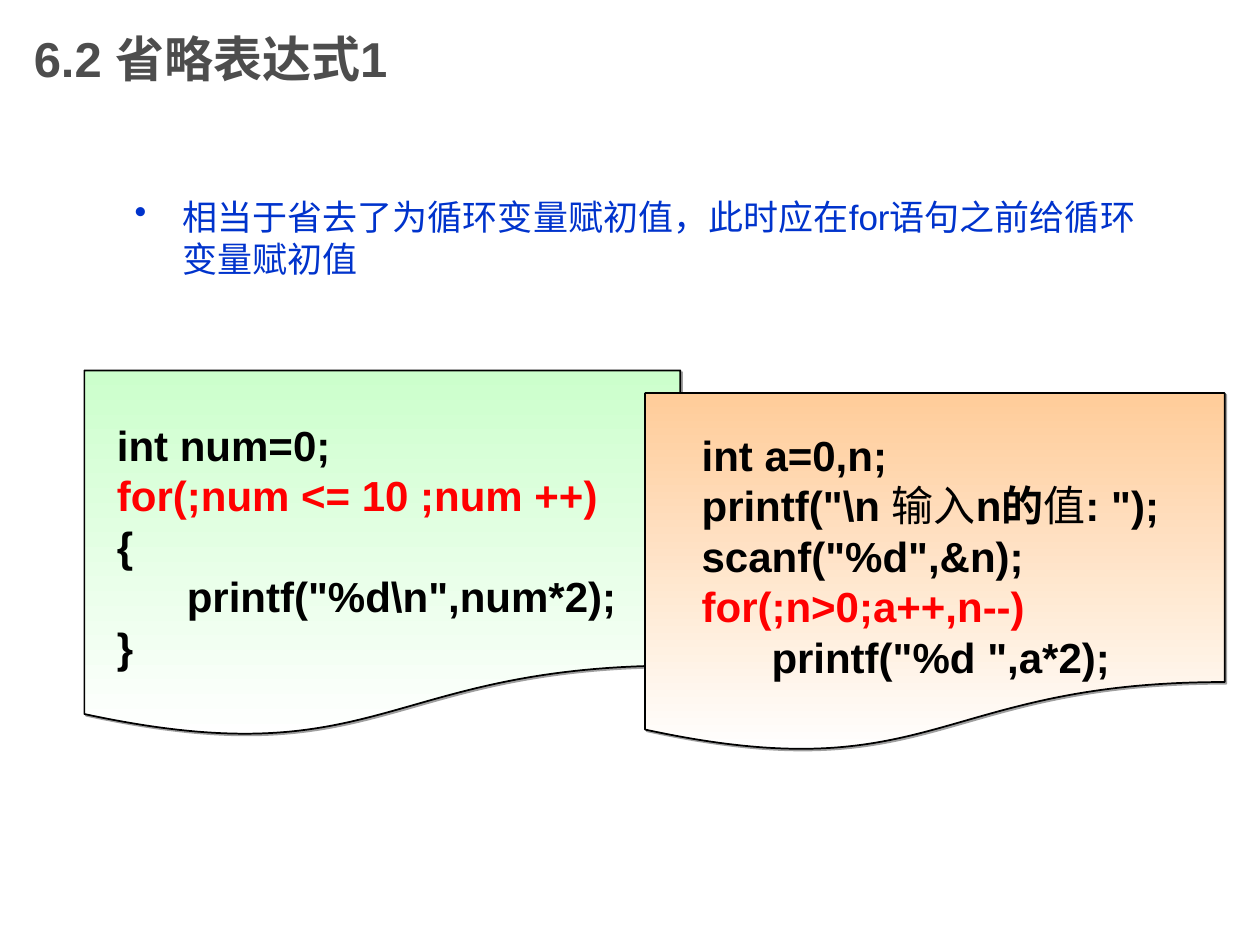
from lxml.etree import SubElement
from pptx import Presentation
from pptx.dml.color import RGBColor
from pptx.enum.shapes import MSO_SHAPE
from pptx.enum.text import MSO_ANCHOR, MSO_AUTO_SIZE
from pptx.oxml.ns import qn
from pptx.util import Inches, Pt

WHITE = RGBColor(0xFF, 0xFF, 0xFF)
BLACK = RGBColor(0, 0, 0)
RED = RGBColor(0xFF, 0, 0)
GRAY = RGBColor(0x4D, 0x4D, 0x4D)
BLUE = RGBColor(0, 0x33, 0xCC)
GREEN = RGBColor(0xCC, 0xFF, 0xCC)
ORANGE = RGBColor(0xFF, 0xCC, 0x99)
SHADOW = RGBColor(0x80, 0x80, 0x80)

FONT = "Arial"
COLS, ROWS = 100, 75
WIDTH, HEIGHT = Inches(10), Inches(7.5)

NUM_CODE = [
    ["int num=0;"],
    ["for(;num <= 10 ;num ++)"],
    ["{"],
    ['      printf("%d\\n",num*2);'],
    ["}"],
]
INPUT_CODE = [
    ["int a=0,n;"],
    ['printf("\\n ', "输入", "n的", "值", ': ");'],
    ['scanf("%d",&n);'],
    ["for(;n>0;a++,n--)"],
    ['      printf("%d ",a*2);'],
]


def place(box):
    x, y, w, h = box
    return (int(WIDTH * x / COLS), int(HEIGHT * y / ROWS),
            int(WIDTH * w / COLS), int(HEIGHT * h / ROWS))


def add_text(s, box, wrap=True):
    tf = s.shapes.add_textbox(*place(box)).text_frame
    tf.word_wrap = wrap
    return tf


def style(font, size, color, bold=False):
    font.name = FONT
    font.size = Pt(size)
    font.bold = bold
    font.color.rgb = color


def add_title(s, box, text):
    tf = add_text(s, box)
    tf.vertical_anchor = MSO_ANCHOR.MIDDLE
    tf.text = text
    style(tf.paragraphs[0].runs[0].font, 28, GRAY, True)


def add_bullet(s, box, text):
    p = add_text(s, box).paragraphs[0]
    p.text = text
    p.line_spacing = Pt(24)
    pPr = p._p.get_or_add_pPr()
    pPr.set("marL", str(Inches(0.38)))
    pPr.set("indent", str(-Inches(0.38)))
    color = SubElement(pPr, qn("a:buClr"))
    SubElement(color, qn("a:srgbClr"), val=str(BLUE))
    SubElement(pPr, qn("a:buChar"), char="•")
    style(p.runs[0].font, 20, BLUE)


def add_shadow(sp):
    sp.shadow.inherit = False
    effects = sp._element.spPr.find(qn("a:effectLst"))
    outer = SubElement(effects, qn("a:outerShdw"), dist=str(Pt(1.4)),
                       dir="2700000", algn="ctr", rotWithShape="0")
    color = SubElement(outer, qn("a:srgbClr"), val=str(SHADOW))
    SubElement(color, qn("a:alpha"), val="75000")


def add_document(s, box, tint):
    sp = s.shapes.add_shape(MSO_SHAPE.FLOWCHART_DOCUMENT, *place(box))
    sp.fill.gradient()
    sp.fill.gradient_angle = 270
    for stop, color, position in zip(sp.fill.gradient_stops, (tint, WHITE), (0, 1)):
        stop.color.rgb = color
        stop.position = position
    sp.line.color.rgb = BLACK
    sp.line.width = Pt(1)
    add_shadow(sp)


def add_code(s, box, lines):
    tf = add_text(s, box, wrap=False)
    tf.auto_size = MSO_AUTO_SIZE.SHAPE_TO_FIT_TEXT
    for i, parts in enumerate(lines):
        p = tf.add_paragraph() if i else tf.paragraphs[0]
        p.line_spacing = Pt(28.8)
        color = RED if parts[0].startswith("for") else BLACK
        for part in parts:
            r = p.add_run()
            r.text = part
            style(r.font, 24, color, part not in ("输入", "值"))


def main():
    prs = Presentation()
    prs.slide_width, prs.slide_height = WIDTH, HEIGHT
    s = prs.slides.add_slide(prs.slide_layouts[6])
    add_document(s, (6.7, 29.4, 47.3, 29.2), GREEN)
    add_document(s, (51.2, 31.2, 46, 28.6), ORANGE)
    add_title(s, (1.7, 0, 75, 9.2), "6.2 省略表达式1")
    add_code(s, (8.3, 32.8, 42.2, 21), NUM_CODE)
    add_code(s, (54.7, 33.6, 41.5, 21), INPUT_CODE)
    add_bullet(s, (9.7, 15, 81.8, 12.3),
               "相当于省去了为循环变量赋初值，此时应在for语句之前给循环变量赋初值")
    prs.save("out.pptx")


if __name__ == "__main__":
    main()
